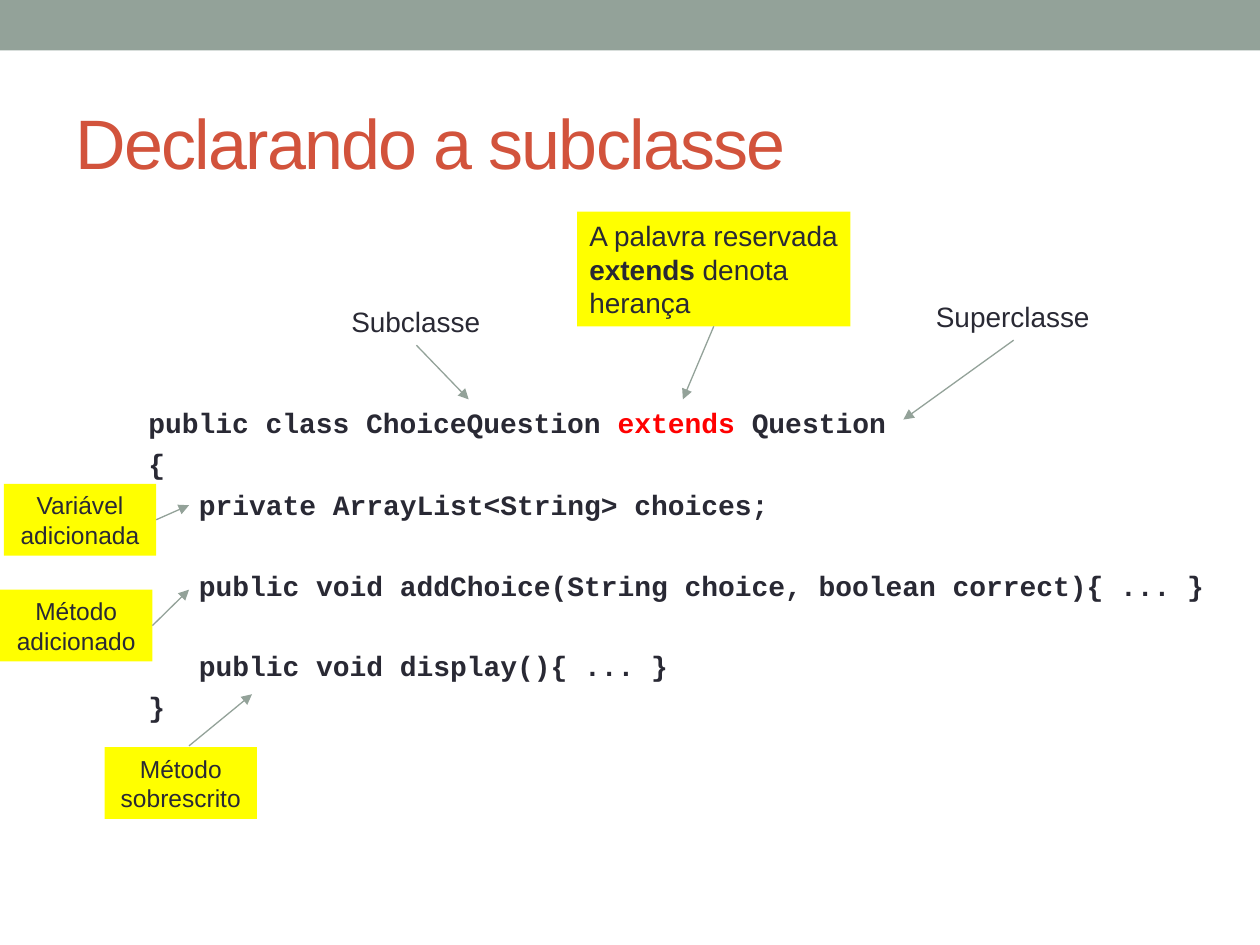
from pptx import Presentation
from pptx.dml.color import RGBColor
from pptx.enum.shapes import MSO_CONNECTOR, MSO_SHAPE
from pptx.enum.text import MSO_ANCHOR, PP_ALIGN
from pptx.oxml.ns import qn
from pptx.util import Inches, Pt
from lxml.etree import SubElement

COLORS = {
    "bar": "93A299",
    "title": "D2533C",
    "text": "292934",
    "callout": "FFFF00",
    "keyword": "FF0000",
}
BOTTOM, RIGHT = 2, 3
CODE_GAP, BLANK_LINE = 4.3, 22.4
CODE = [
    (["public class ChoiceQuestion ", "extends ", "Question"], 0, False),
    (["{"], 0, False),
    (["private ArrayList<String> choices;"], 0.4, False),
    (["public void addChoice(String choice, boolean correct){ ... }"], 0.4, True),
    (["public void display(){ ... }"], 0.4, True),
    (["}"], 0, False),
]


def rgb(name):
    """Return the named colour."""
    return RGBColor.from_string(COLORS[name])


def style(font, size, color="text", face="Arial", bold=None):
    """Set the look of a font."""
    font.size, font.name, font.bold = Pt(size), face, bold
    font.color.rgb = rgb(color)


def add_block(slide, box, color):
    """Add a plain filled rectangle."""
    block = slide.shapes.add_shape(MSO_SHAPE.RECTANGLE, *map(Inches, box))
    block.shadow.inherit = False
    block.fill.solid()
    block.fill.fore_color.rgb = rgb(color)
    block.line.fill.background()
    return block


def add_title(slide, text):
    """Place and format the title."""
    title = slide.shapes.title
    title.left, title.top, title.width, title.height = map(Inches, (0.5, 0.58, 9, 1.08))
    title.text_frame.text = text
    title.text_frame.vertical_anchor = MSO_ANCHOR.MIDDLE
    heading = title.text_frame.paragraphs[0]
    heading.alignment = PP_ALIGN.LEFT
    style(heading.font, 40, "title")
    heading.runs[0].font._element.set("spc", "-100")


def add_callout(slide, box, runs, size=14, align=PP_ALIGN.CENTER):
    """Add a yellow note whose second run, if any, is bold."""
    callout = add_block(slide, box, "callout")
    callout.text_frame.word_wrap = True
    note = callout.text_frame.paragraphs[0]
    note.alignment = align
    style(note.font, size)
    for index, text in enumerate(runs):
        run = note.add_run()
        run.text = text
        if index == 1:
            run.font.bold = True
    return callout


def add_label(slide, box, text):
    """Add a one-line label."""
    label = slide.shapes.add_textbox(*map(Inches, box))
    label.text_frame.word_wrap = False
    label.text_frame.text = text
    style(label.text_frame.paragraphs[0].font, 16)
    return label


def add_code(slide):
    """Add the class declaration."""
    listing = slide.shapes.add_textbox(*map(Inches, (1.08, 3.17, 8.67, 2.67)))
    frame = listing.text_frame
    frame.word_wrap = True
    for index, (parts, indent, after_blank) in enumerate(CODE):
        line = frame.add_paragraph() if index else frame.paragraphs[0]
        line.space_before = Pt(CODE_GAP + BLANK_LINE * after_blank)
        line._p.get_or_add_pPr().set("marL", str(Inches(indent)))
        style(line.font, 16, face="Courier New", bold=True)
        for part in parts:
            run = line.add_run()
            run.text = part
            if part.strip() == "extends":
                run.font.color.rgb = rgb("keyword")


def add_arrow(slide, start, end, source=None, side=BOTTOM):
    """Draw an arrow, joined to its source when there is one."""
    arrow = slide.shapes.add_connector(MSO_CONNECTOR.STRAIGHT, *map(Inches, start + end))
    if source is not None:
        arrow.begin_connect(source, side)
    arrow.line.color.rgb = rgb("bar")
    arrow.line.width = Pt(0.75)
    SubElement(arrow.line._get_or_add_ln(), qn("a:tailEnd"), type="triangle")
    SubElement(arrow._element.spPr, qn("a:effectLst"))


def main():
    """Build the slide."""
    deck = Presentation()
    deck.slide_width, deck.slide_height = Inches(10), Inches(7.5)
    slide = deck.slides.add_slide(deck.slide_layouts[5])
    add_block(slide, (0, 0, 10, 0.4), "bar")
    add_title(slide, "Declarando a subclasse")
    add_code(slide)

    keyword = add_callout(
        slide, (4.58, 1.68, 2.17, 0.91),
        ["A palavra reservada ", "extends", " denota herança"], 16, PP_ALIGN.LEFT,
    )
    superclass = add_label(slide, (7.33, 2.33, 1.43, 0.37), "Superclasse")
    subclass = add_label(slide, (2.69, 2.37, 1.23, 0.37), "Subclasse")
    variable = add_callout(slide, (0.03, 3.84, 1.21, 0.57), ["Variável adicionada"])
    added = add_callout(slide, (0, 4.68, 1.21, 0.57), ["Método adicionado"])
    add_callout(slide, (0.83, 5.93, 1.21, 0.57), ["Método sobrescrito"])

    add_arrow(slide, (5.67, 2.58), (5.42, 3.17), keyword)
    add_arrow(slide, (8.05, 2.7), (7.17, 3.33), superclass)
    add_arrow(slide, (3.31, 2.74), (3.72, 3.17), subclass)
    add_arrow(slide, (1.23, 4.13), (1.5, 4.01), variable, RIGHT)
    add_arrow(slide, (1.21, 4.96), (1.5, 4.68), added, RIGHT)
    add_arrow(slide, (1.5, 5.92), (2, 5.51))
    deck.save("out.pptx")


if __name__ == "__main__":
    main()
